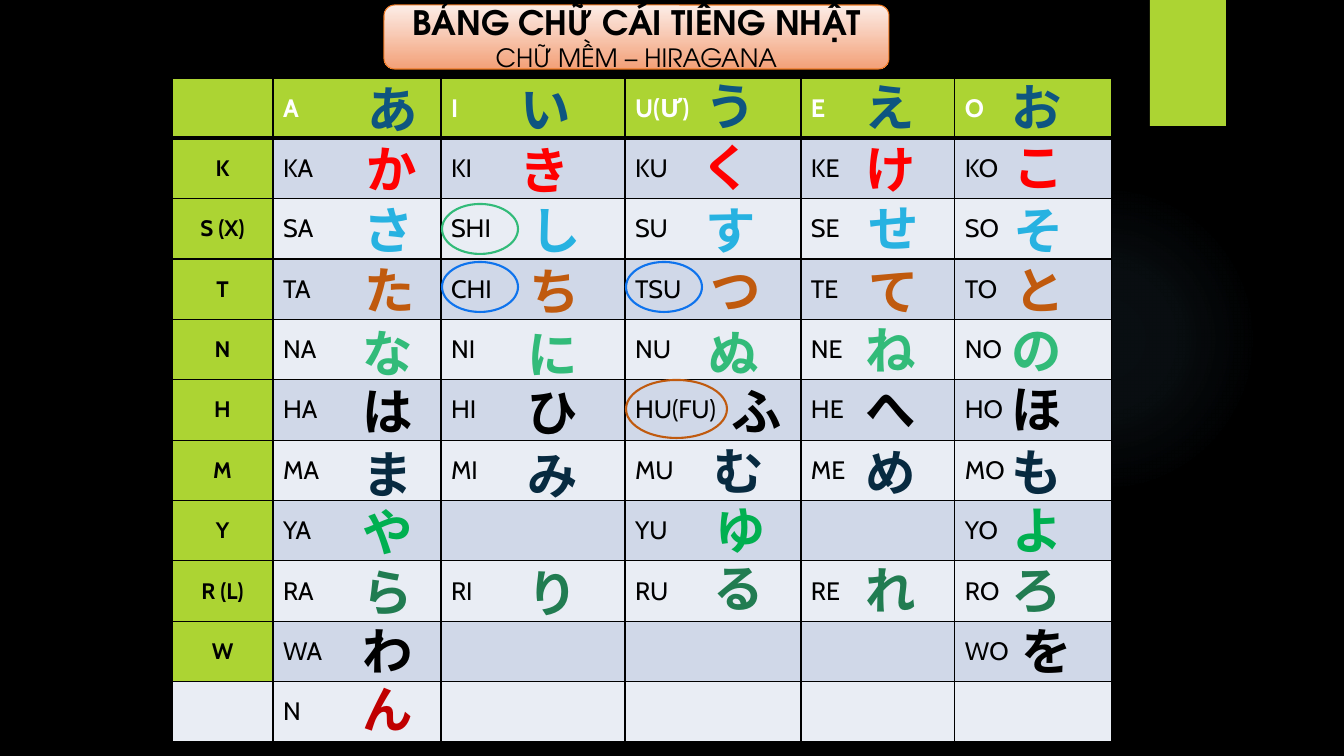
import pptx
import pptx.dml.color
import pptx.enum.shapes
import pptx.enum.text
import pptx.oxml
import pptx.oxml.ns
import pptx.util

RGBColor = pptx.dml.color.RGBColor
SHAPE = pptx.enum.shapes.MSO_SHAPE
CENTER = pptx.enum.text.PP_ALIGN.CENTER
MIDDLE = pptx.enum.text.MSO_ANCHOR.MIDDLE

BLACK = RGBColor(0x00, 0x00, 0x00)
WHITE = RGBColor(0xFF, 0xFF, 0xFF)
LIME = RGBColor(0xAC, 0xD4, 0x33)
BAND_DARK = RGBColor(0xD0, 0xD8, 0xE8)
BAND_LIGHT = RGBColor(0xE9, 0xED, 0xF4)
NAVY = RGBColor(0x0E, 0x55, 0x80)
RED = RGBColor(0xFF, 0x00, 0x00)
SKY = RGBColor(0x27, 0xB2, 0xE1)
RUST = RGBColor(0xC0, 0x5A, 0x0E)
MINT = RGBColor(0x32, 0xBB, 0x79)
INK = RGBColor(0x07, 0x2A, 0x40)
GREEN = RGBColor(0x00, 0xB0, 0x50)
FOREST = RGBColor(0x21, 0x7C, 0x51)
CRIMSON = RGBColor(0xC0, 0x00, 0x00)
BLUE = RGBColor(0x0E, 0x73, 0xED)
ORANGE = RGBColor(0xEF, 0x7A, 0x24)
GLOW = RGBColor(0x7A, 0xC4, 0xF0)
PEACH_LIGHT = RGBColor(0xFC, 0xED, 0xE7)
PEACH_DARK = RGBColor(0xF3, 0xA0, 0x78)

TITLE_LINES = [("BẢNG CHỮ CÁI TIẾNG NHẬT", 24, True), ("CHỮ MỀM – HIRAGANA", 18, False)]

ROWS = [
    ("", NAVY, [("A", "あ", 346, 73), ("I", "い", 499, 73), ("U(Ư)", "う", 684, 70),
                ("E", "え", 843, 71), ("O", "お", 990, 71)]),
    ("K", RED, [("KA", "か", 345, 133), ("KI", "き", 498, 134), ("KU", "く", 680, 131),
                ("KE", "け", 844, 133), ("KO", "こ", 992, 131)]),
    ("S (X)", SKY, [("SA", "さ", 342, 194), ("SHI", "し", 509, 194), ("SU", "す", 684, 194),
                    ("SE", "せ", 847, 192), ("SO", "そ", 992, 194)]),
    ("T", RUST, [("TA", "た", 343, 254), ("CHI", "ち", 508, 255), ("TSU", "つ", 689, 254),
                 ("TE", "て", 847, 255), ("TO", "と", 993, 254)]),
    ("N", MINT, [("NA", "な", 341, 317), ("NI", "に", 506, 318), ("NU", "ぬ", 687, 317),
                 ("NE", "ね", 844, 314), ("NO", "の", 990, 314)]),
    ("H", BLACK, [("HA", "は", 341, 375), ("HI", "ひ", 506, 376), ("HU(FU)", "ふ", 710, 375),
                  ("HE", "へ", 844, 373), ("HO", "ほ", 990, 373)]),
    ("M", INK, [("MA", "ま", 341, 438), ("MI", "み", 506, 439), ("MU", "む", 692, 435),
                ("ME", "め", 844, 436), ("MO", "も", 990, 436)]),
    ("Y", GREEN, [("YA", "や", 341, 496), None, ("YU", "ゆ", 694, 494),
                  None, ("YO", "よ", 991, 494)]),
    ("R (L)", FOREST, [("RA", "ら", 341, 556), ("RI", "り", 506, 557), ("RU", "る", 692, 552),
                       ("RE", "れ", 844, 554), ("RO", "ろ", 990, 554)]),
    ("W", BLACK, [("WA", "わ", 341, 615), None, None, None, ("WO", "を", 1000, 615)]),
    ("", CRIMSON, [("N", "ん", 341, 673), None, None, None, None]),
]
COLUMN_WIDTHS = [101, 168, 184, 176, 154, 157]
TABLE_LEFT, TABLE_TOP, TABLE_HEIGHT = 172, 78, 664
KANA_WIDTH, KANA_HEIGHT = 93, 72
RINGS = [
    (442, 204, 76, 50, MINT),
    (442, 262, 76, 50, BLUE),
    (626, 262, 76, 50, BLUE),
    (626, 380, 101, 58, RUST),
]

PX = 914400 / 100.8
NAMESPACE = pptx.oxml.ns.nsdecls("a")


def px(*lengths):
    return [pptx.util.Emu(round(length * PX)) for length in lengths]


def add_run(paragraph, text, size, font_name, color, bold):
    run = paragraph.add_run()
    run.text = text
    run.font.size = pptx.util.Pt(size)
    run.font.name = font_name
    run.font.color.rgb = color
    run.font.bold = bold


def add_shape(slide, kind, *box):
    shape = slide.shapes.add_shape(kind, *px(*box))
    shape.shadow.inherit = False
    shape.fill.background()
    shape.line.fill.background()
    return shape


def set_gradient(shape, stops, direction):
    stop_xml = "".join(
        f'<a:gs pos="{position * 1000}"><a:srgbClr val="{color}">'
        f'<a:alpha val="{alpha * 1000}"/></a:srgbClr></a:gs>'
        for position, color, alpha in stops)
    gradient = pptx.oxml.parse_xml(
        f'<a:gradFill {NAMESPACE} rotWithShape="1"><a:gsLst>{stop_xml}</a:gsLst>{direction}</a:gradFill>')
    properties = shape._element.spPr
    properties.replace(properties.find(pptx.oxml.ns.qn("a:noFill")), gradient)


def add_backdrop(slide):
    slide.background.fill.solid()
    slide.background.fill.fore_color.rgb = BLACK
    glow = add_shape(slide, SHAPE.OVAL, 949, 184, 310, 310)
    set_gradient(glow, [(0, GLOW, 7), (36, GLOW, 6), (69, GLOW, 0)],
                 '<a:path path="circle"><a:fillToRect l="50000" t="50000" r="50000" b="50000"/></a:path>')
    tab = add_shape(slide, SHAPE.RECTANGLE, 1150, 0, 76, 126)
    tab.fill.solid()
    tab.fill.fore_color.rgb = LIME
    effects = tab._element.spPr.find(pptx.oxml.ns.qn("a:effectLst"))
    effects.append(pptx.oxml.parse_xml(
        f'<a:outerShdw {NAMESPACE} blurRad="38100" dist="25400" dir="5400000" rotWithShape="0">'
        '<a:srgbClr val="000000"><a:alpha val="45000"/></a:srgbClr></a:outerShdw>'))


def style_cell(cell, color, top, bottom):
    properties = cell._tc.get_or_add_tcPr()
    for side, width in (("L", 1), ("R", 1), ("T", top), ("B", bottom)):
        properties.append(pptx.oxml.parse_xml(
            f'<a:ln{side} {NAMESPACE} w="{width * 12700}"><a:solidFill>'
            f'<a:srgbClr val="{BLACK}"/></a:solidFill></a:ln{side}>'))
    cell.fill.solid()
    cell.fill.fore_color.rgb = color
    cell.vertical_anchor = MIDDLE


def add_table(slide):
    frame = slide.shapes.add_table(
        len(ROWS), len(COLUMN_WIDTHS),
        *px(TABLE_LEFT, TABLE_TOP, sum(COLUMN_WIDTHS), TABLE_HEIGHT))
    table = frame.table
    table.first_row = table.horz_banding = False
    for column, width in zip(table.columns, COLUMN_WIDTHS):
        column.width = px(width)[0]
    for index, (heading, _, entries) in enumerate(ROWS):
        table.rows[index].height = px(TABLE_HEIGHT / len(ROWS))[0]
        is_header = index == 0
        band = LIME if is_header else BAND_DARK if index % 2 else BAND_LIGHT
        labels = [heading] + [entry[0] if entry else "" for entry in entries]
        for column, label in enumerate(labels):
            cell = table.cell(index, column)
            is_heading = column == 0
            color = LIME if is_heading and index < len(ROWS) - 1 else band
            style_cell(cell, color, 3 if index == 1 else 1, 3 if is_header else 1)
            if not label:
                continue
            paragraph = cell.text_frame.paragraphs[0]
            if is_heading:
                paragraph.alignment = CENTER
            add_run(paragraph, label, 16 if is_heading else 18, "Cabin",
                    WHITE if is_header else BLACK, is_header or is_heading)


def add_kana(slide):
    for _, color, entries in ROWS:
        for _, kana, left, top in filter(None, entries):
            box = slide.shapes.add_textbox(*px(left, top, KANA_WIDTH, KANA_HEIGHT))
            box.text_frame.word_wrap = True
            box.text_frame.auto_size = pptx.enum.text.MSO_AUTO_SIZE.SHAPE_TO_FIT_TEXT
            paragraph = box.text_frame.paragraphs[0]
            paragraph.alignment = CENTER
            add_run(paragraph, kana, 36, "Arial", color, True)


def add_rings(slide):
    for *box, color in RINGS:
        ring = add_shape(slide, SHAPE.OVAL, *box)
        ring.line.color.rgb = color
        ring.line.width = pptx.util.Pt(1.5)


def add_title(slide):
    title = add_shape(slide, SHAPE.ROUNDED_RECTANGLE, 384, 5, 505, 64)
    set_gradient(title, [(0, PEACH_LIGHT, 100), (100, PEACH_DARK, 100)],
                 '<a:lin ang="5400000" scaled="0"/>')
    title.line.color.rgb = ORANGE
    title.line.width = pptx.util.Pt(0.75)
    text_frame = title.text_frame
    text_frame.word_wrap = True
    text_frame.vertical_anchor = MIDDLE
    for index, (text, size, bold) in enumerate(TITLE_LINES):
        paragraph = text_frame.add_paragraph() if index else text_frame.paragraphs[0]
        paragraph.alignment = CENTER
        add_run(paragraph, text, size, "TeX Gyre Adventor", BLACK, bold)


def main():
    presentation = pptx.Presentation()
    presentation.slide_width, presentation.slide_height = px(1344, 756)
    slide = presentation.slides.add_slide(presentation.slide_layouts[6])
    add_backdrop(slide)
    add_table(slide)
    add_rings(slide)
    add_kana(slide)
    add_title(slide)
    presentation.save("out.pptx")


if __name__ == "__main__":
    main()
